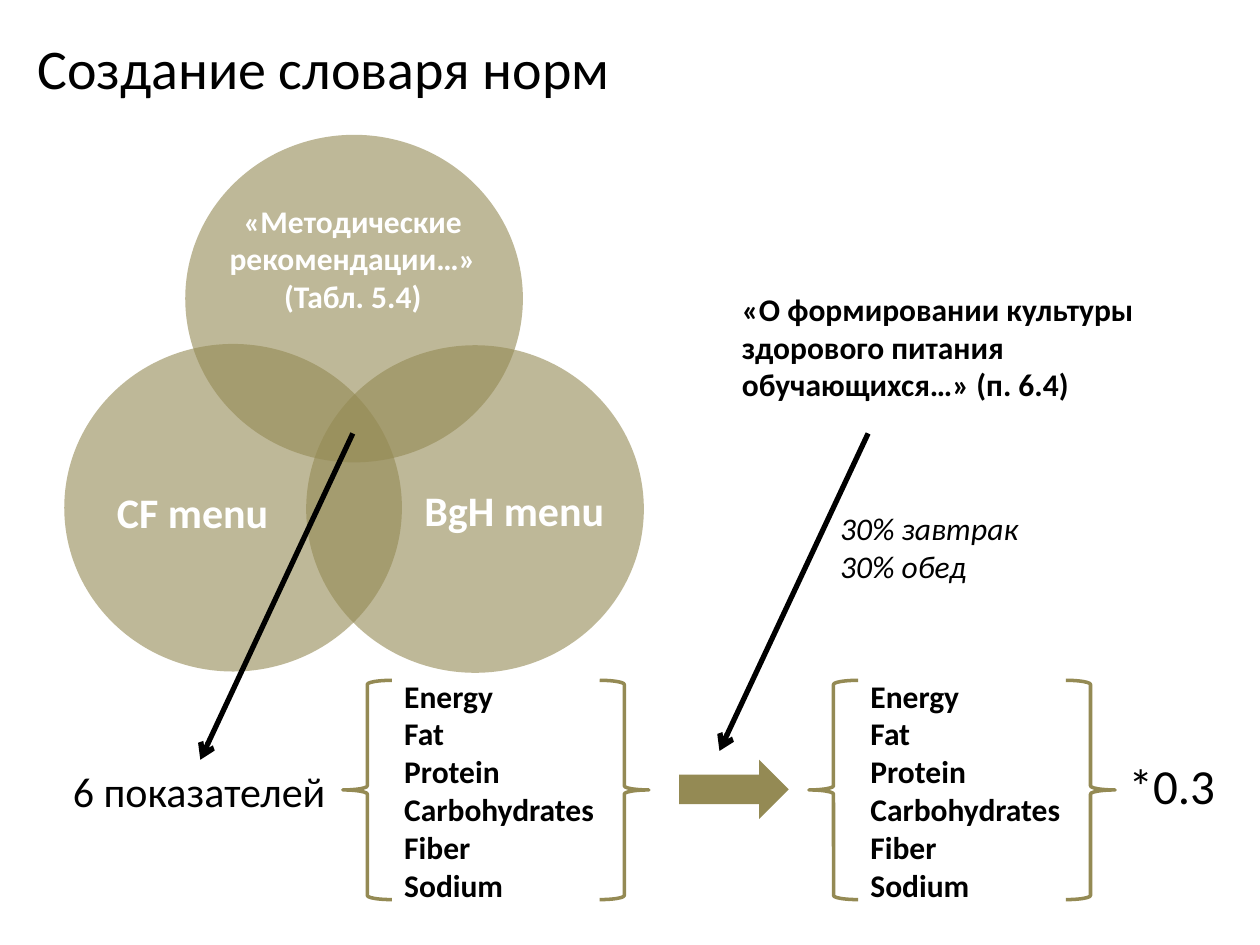
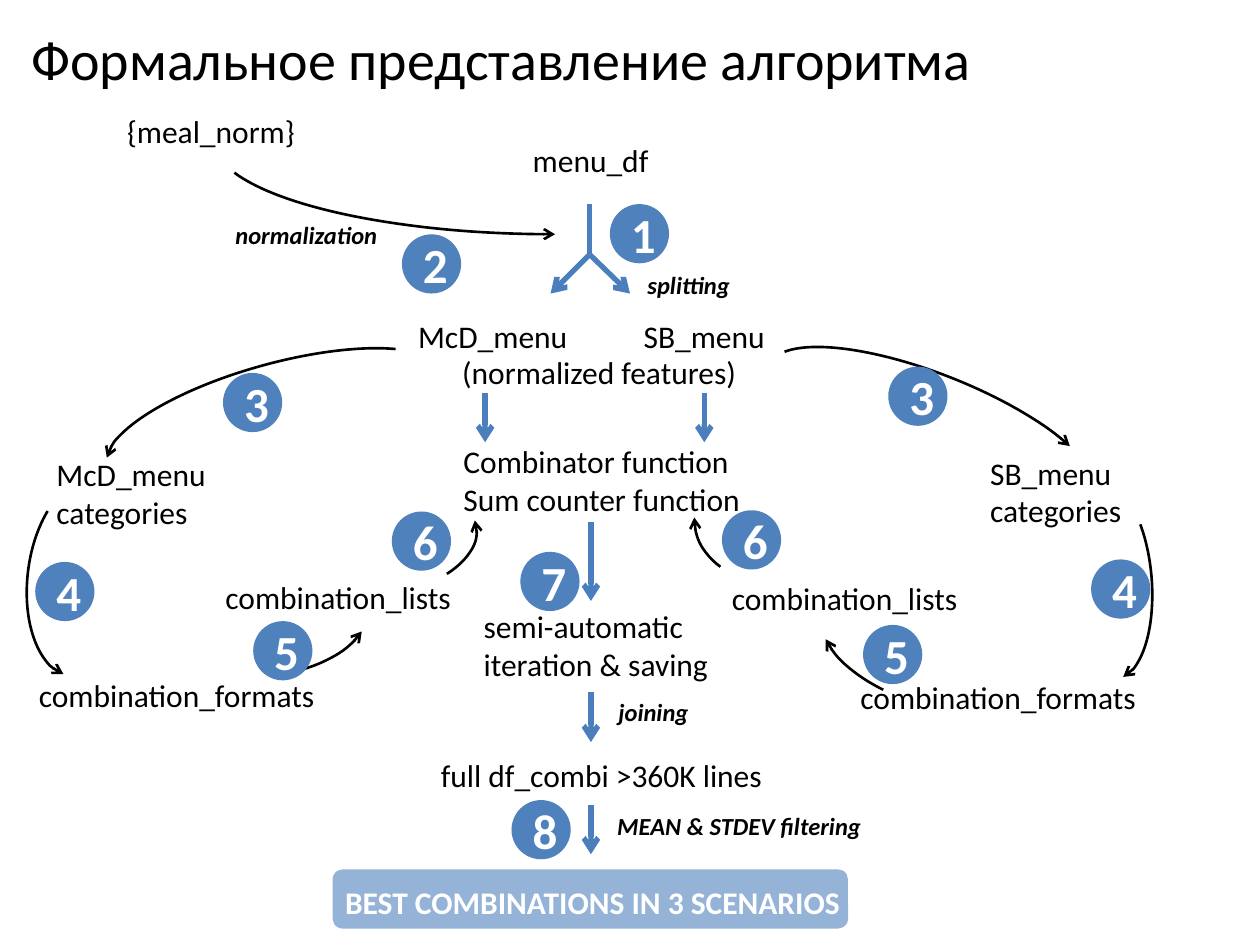
from dataclasses import dataclass
from typing import Any

from lxml import etree
from pptx import Presentation
from pptx.dml.color import RGBColor
from pptx.enum.shapes import MSO_CONNECTOR, MSO_SHAPE as Preset
from pptx.enum.text import MSO_ANCHOR, MSO_AUTO_SIZE, PP_ALIGN
from pptx.oxml.ns import qn
from pptx.util import Inches, Pt

BLACK = RGBColor(0x00, 0x00, 0x00)
WHITE = RGBColor(0xFF, 0xFF, 0xFF)
OLIVE = RGBColor(0x94, 0x8A, 0x54)
BLUE = RGBColor(0x4F, 0x81, 0xBD)
ARROW_BLUE = RGBColor(0x4B, 0x7E, 0xBC)
FONT = "Calibri"
BADGE_SIZE = 0.47
NUTRIENTS = ["Energy", "Fat", "Protein", "Carbohydrates", "Fiber", "Sodium"]


def write(frame, lines, size, color=BLACK, bold=False, italic=False, align=PP_ALIGN.LEFT):
    """Fill a text frame with one paragraph per line."""
    for index, line in enumerate(lines):
        paragraph = frame.add_paragraph() if index else frame.paragraphs[0]
        paragraph.alignment = align
        run = paragraph.add_run()
        run.text = line
        font = run.font
        font.name, font.size, font.bold, font.italic = FONT, Pt(size), bold, italic
        font.color.rgb = color


def add_arrowhead(line, end):
    """Put an open arrowhead on the headEnd or tailEnd of a line."""
    etree.SubElement(line._get_or_add_ln(), qn(f"a:{end}"), type="arrow")


@dataclass
class Region:
    """Part of a slide whose contents are placed from its top left corner."""

    slide: Any
    left: float
    top: float

    def place(self, x, y):
        """Turn region coordinates into slide coordinates."""
        return Inches(self.left + x), Inches(self.top + y)

    def text(self, x, y, width, height, lines, size=18, wrap=False,
             anchor=MSO_ANCHOR.TOP, **style):
        """Add a text box."""
        box = self.slide.shapes.add_textbox(*self.place(x, y), Inches(width), Inches(height))
        frame = box.text_frame
        frame.word_wrap = wrap
        frame.auto_size = MSO_AUTO_SIZE.SHAPE_TO_FIT_TEXT
        frame.vertical_anchor = anchor
        write(frame, lines, size, **style)

    def note(self, x, y, width, label):
        """Add a small bold italic step note."""
        self.text(x, y, width, 0.34, [label], size=14, bold=True, italic=True)

    def shape(self, preset, x, y, width, height, fill=None, alpha=None,
              line=None, weight=1.5, flip=""):
        """Add a preset shape, optionally translucent, outlined or flipped."""
        shape = self.slide.shapes.add_shape(
            preset, *self.place(x, y), Inches(width), Inches(height))
        shape.shadow.inherit = False
        if fill is None:
            shape.fill.background()
        else:
            shape.fill.solid()
            shape.fill.fore_color.rgb = fill
        if alpha:
            tint = shape._element.spPr.find(f".//{qn('a:srgbClr')}")
            etree.SubElement(tint, qn("a:alpha"), val=str(alpha * 1000))
        if line is None:
            shape.line.fill.background()
        else:
            shape.line.color.rgb = line
            shape.line.width = Pt(weight)
        for axis in flip:
            shape._element.spPr.xfrm.set(f"flip{axis}", "1")
        return shape

    def arc(self, x, y, width, height, start, stop, rotation=0, flip="HV", end="headEnd"):
        """Add a curved arrow."""
        arc = self.shape(Preset.ARC, x, y, width, height, line=BLACK, flip=flip)
        arc.adjustments[0], arc.adjustments[1] = start, stop
        arc.rotation = rotation
        add_arrowhead(arc.line, end)

    def line(self, x1, y1, x2, y2, color=ARROW_BLUE, arrow=True):
        """Add a straight line that may end in an arrowhead."""
        link = self.slide.shapes.add_connector(
            MSO_CONNECTOR.STRAIGHT, *self.place(x1, y1), *self.place(x2, y2))
        link.line.color.rgb = color
        link.line.width = Pt(3)
        if arrow:
            add_arrowhead(link.line, "tailEnd")
        etree.SubElement(link._element.spPr, qn("a:effectLst"))

    def badge(self, x, y, number):
        """Add a numbered step circle."""
        circle = self.shape(Preset.OVAL, x, y, BADGE_SIZE, BADGE_SIZE, fill=BLUE)
        write(circle.text_frame, [str(number)], 28, WHITE, bold=True, align=PP_ALIGN.CENTER)


def add_title(slide, left, top, width, height, title):
    """Add the slide title."""
    Region(slide, left, top).text(0, 0, width, height, [title], size=32,
                                  anchor=MSO_ANCHOR.MIDDLE)


def add_venn(slide, left, top):
    """Draw the three overlapping sources of norms."""
    venn = Region(slide, left, top)
    for x, y in [(1.92, 1.67), (0, 1.66), (0.96, 0)]:
        venn.shape(Preset.OVAL, x, y, 2.68, 2.6, fill=OLIVE, alpha=60)
    label = dict(color=WHITE, bold=True)
    venn.text(2.76, 2.73, 1.73, 0.5, ["BgH menu"], size=24, **label)
    venn.text(0.32, 2.74, 1.43, 0.5, ["CF menu"], size=24, **label)
    venn.text(1.19, 0.48, 2.2, 1.01, ["«Методические рекомендации…»", "(Табл. 5.4)"],
              wrap=True, align=PP_ALIGN.CENTER, **label)


def add_norm_set(slide, left, top):
    """List the nutrients between a pair of braces."""
    norms = Region(slide, left, top)
    for x, flip in [(0, ""), (2.04, "H")]:
        norms.shape(Preset.LEFT_BRACE, x, 0.08, 0.39, 1.74, line=OLIVE, weight=2, flip=flip)
    norms.text(0.39, 0, 1.72, 1.92, NUTRIENTS, bold=True)


def add_share_rule(slide, left, top):
    """Show the guideline that scales the norms per meal."""
    rule = Region(slide, left, top)
    rule.text(0.4, 0, 3.39, 1.01,
              ["«О формировании культуры здорового питания обучающихся…» (п. 6.4)"],
              wrap=True, bold=True)
    rule.shape(Preset.RIGHT_ARROW, 0, 3.78, 0.87, 0.47, fill=OLIVE)
    rule.line(1.5, 1.19, 0.32, 3.71, BLACK)
    rule.text(1.18, 1.74, 1.63, 0.71, ["30% завтрак", "30% обед"], italic=True)


def build_norms_slide(slide):
    """Build the slide on the dictionary of norms."""
    add_title(slide, 0.2, 0.21, 4.79, 0.64, "Создание словаря норм")
    add_venn(slide, 0.51, 1.07)
    page = Region(slide, 0, 0)
    page.line(2.8, 3.44, 1.59, 6.03, BLACK)
    page.text(0.48, 6.03, 2.23, 0.5, ["6 показателей"], size=24)
    add_share_rule(slide, 5.39, 2.25)
    for left in (2.72, 6.42):
        add_norm_set(slide, left, 5.32)
    page.text(8.86, 5.95, 0.9, 0.57, ["*0.3"], size=28)


def add_preparation(slide, left, top):
    """Draw the splitting and normalization steps."""
    prep = Region(slide, left, top)
    for x, y, width, label in [
        (0.01, 0.04, 1.55, "{meal_norm}"),
        (3.23, 0.27, 1.13, "menu_df"),
        (2.32, 1.67, 1.4, "McD_menu"),
        (4.11, 1.67, 1.17, "SB_menu"),
        (2.67, 1.95, 2.46, "(normalized features)"),
    ]:
        prep.text(x, y, width, 0.4, [label])
    prep.line(3.78, 0.82, 3.78, 1.22, arrow=False)
    for x in (3.47, 4.1):
        prep.line(3.78, 1.22, x, 1.53)
    for x in (2.95, 4.69):
        prep.line(x, 2.32, x, 2.71)
    prep.arc(0.79, -0.44, 5.43, 1.5, 162, 212.48)
    prep.note(0.87, 0.9, 1.34, "normalization")
    prep.note(4.14, 1.29, 0.87, "splitting")
    prep.badge(3.94, 0.82, 1)
    prep.badge(2.29, 1.06, 2)


def add_branch(slide, left, top, menu, menu_width, labels, arcs, badges):
    """Draw one menu's way from categories to combination lists."""
    branch = Region(slide, left, top)
    categories, formats, lists = labels
    branch.text(*categories, menu_width, 0.71, [menu, "categories"])
    branch.text(*formats, 2.41, 0.4, ["combination_formats"])
    branch.text(*lists, 2.01, 0.4, ["combination_lists"])
    for arc in arcs:
        branch.arc(*arc)
    for number, (x, y) in enumerate(badges, start=3):
        branch.badge(x, y, number)


def add_pipeline(slide, left, top):
    """Draw the central column from combining to the best combinations."""
    pipe = Region(slide, left, top)
    pipe.text(0.94, 0, 2.44, 0.71, ["Combinator function", "Sum counter function"], wrap=True)
    pipe.text(1.1, 1.31, 2.01, 0.71, ["semi-automatic", "iteration & saving"])
    pipe.text(0.76, 2.49, 2.78, 0.4, ["full df_combi >360K lines"])
    for start, stop in [(0.68, 1.31), (2.03, 2.43), (2.93, 3.32)]:
        pipe.line(2.05, start, 2.05, stop)
    pipe.note(2.17, 2.02, 0.76, "joining")
    pipe.note(2.16, 2.93, 2.16, "MEAN & STDEV filtering")
    pipe.shape(Preset.ROUNDED_RECTANGLE, 0, 3.44, 4.09, 0.47, fill=BLUE, alpha=60)
    pipe.text(0, 3.5, 4.17, 0.4, ["BEST COMBINATIONS IN 3 SCENARIOS"], color=WHITE, bold=True)
    pipe.badge(1.49, 0.92, 7)
    pipe.badge(1.42, 2.89, 8)


def build_algorithm_slide(slide):
    """Build the slide with the scheme of the algorithm."""
    add_title(slide, 0.15, 0.18, 8.19, 0.56, "Формальное представление алгоритма")
    add_preparation(slide, 0.9, 0.8)
    add_branch(
        slide, 0.2, 2.9, "McD_menu", 1.4,
        labels=[(0.15, 0.66), (0.01, 2.42), (1.49, 1.64)],
        arcs=[
            (1.55, -0.96, 0.87, 2.77, 163.57, 45.28, 74.4),
            (0.02, 0.9, 0.87, 1.57, 164.44, 33.17, 7.1),
            (1.51, 1.24, 0.87, 1.57, 171.07, 205.86, 261.7),
            (2.37, 0.61, 0.87, 1.57, 159.71, 182.4, 261.7),
        ],
        badges=[(1.57, 0.06), (0.08, 1.56), (1.81, 2.03), (2.91, 1.16)],
    )
    add_branch(
        slide, 5.6, 2.9, "SB_menu", 1.25,
        labels=[(2.16, 0.65), (1.13, 2.43), (0.11, 1.65)],
        arcs=[
            (1.36, -0.88, 0.87, 2.77, 165.64, 45.28, 111.6, "HV", "tailEnd"),
            (2.85, 0.92, 0.69, 1.57, 164.44, 33.17, 355.2, "V"),
            (1.27, 1.47, 0.79, 1.57, 171.07, 205.86, 111.7, "V"),
            (0.04, 0.54, 1.06, 1.32, 159.71, 184.14, 265.5, "H"),
        ],
        badges=[(1.45, 0.01), (3.06, 1.54), (1.25, 2.06), (0.13, 1.15)],
    )
    add_pipeline(slide, 2.64, 3.46)


def main():
    """Build and save the presentation."""
    deck = Presentation()
    deck.slide_width, deck.slide_height = Inches(10), Inches(7.5)
    for build in (build_norms_slide, build_algorithm_slide):
        build(deck.slides.add_slide(deck.slide_layouts[6]))
    deck.save("out.pptx")


if __name__ == "__main__":
    main()
